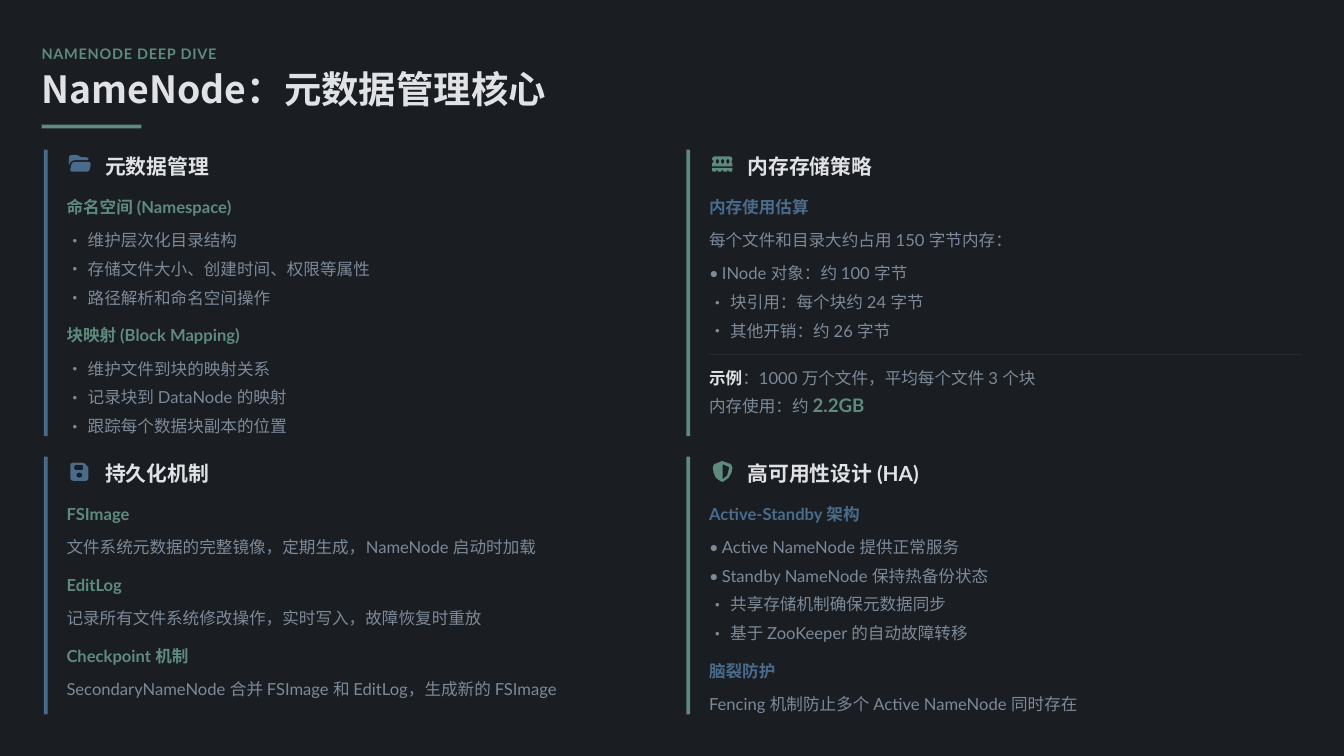
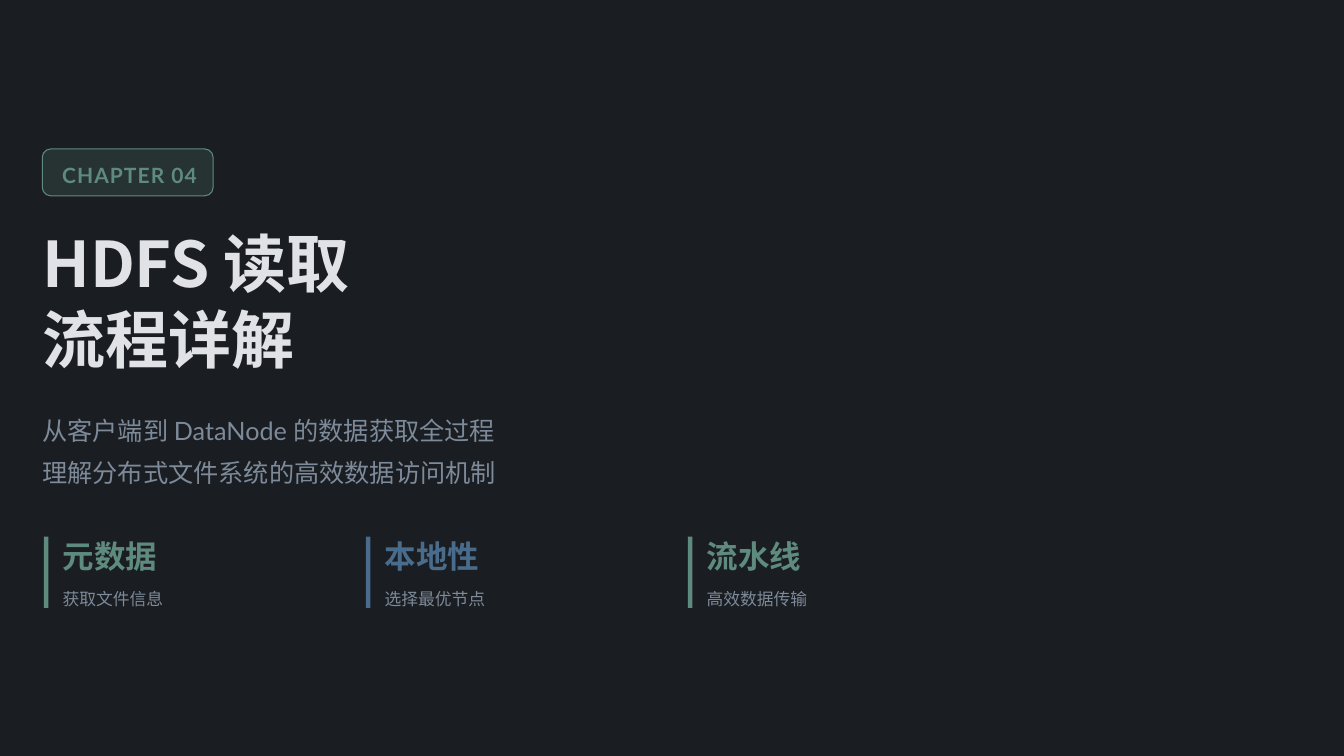
from lxml import etree
from pptx import Presentation
from pptx.dml.color import RGBColor
from pptx.enum.shapes import MSO_SHAPE as Shape
from pptx.enum.text import MSO_ANCHOR as Anchor
from pptx.oxml.ns import qn
from pptx.util import Inches, Pt

DARK = RGBColor(0x1A, 0x1D, 0x21)
LIGHT = RGBColor(0xE0, 0xE2, 0xE5)
GREEN = RGBColor(0x5E, 0x8B, 0x7E)
BLUE = RGBColor(0x4A, 0x6C, 0x8C)
GREY = RGBColor(0x7D, 0x8A, 0x99)
SANS = "Lato"
CJK = "Noto Sans CJK SC"

# Icon outlines, in hundredths of an inch from the panel corner
FOLDER = [
    [(35, 17), (33, 21), (33, 10), (34, 8), (37, 7), (44, 7), (46, 8),
     (48, 9), (49, 10), (56, 10), (59, 11), (59, 14), (40, 14), (37, 15)],
    [(57, 29), (37, 29), (35, 28), (35, 26), (37, 18), (40, 16), (60, 16),
     (62, 18), (62, 20), (60, 28)],
]
MEMORY = [
    [(37, 9), (35, 10), (34, 12), (34, 13), (36, 15), (36, 16), (34, 18),
     (34, 22), (61, 22), (61, 18), (60, 17), (60, 15), (61, 13), (61, 12),
     (60, 10), (58, 9)],
    [(61, 28), (61, 24), (34, 24), (34, 28), (36, 29), (39, 29), (39, 28),
     (40, 27), (42, 28), (42, 29), (46, 29), (46, 28), (48, 27), (49, 28),
     (49, 29), (54, 29), (54, 28), (55, 27), (56, 28), (56, 29), (60, 29)],
] + [
    [(x, 14), (x + 2, 12), (x + 4, 14), (x + 4, 17), (x + 2, 19), (x, 17)]
    for x in (39, 46, 53)
]
DISK = [
    [(39, 8), (36, 9), (35, 11), (35, 28), (36, 31), (39, 32), (56, 32),
     (58, 31), (59, 28), (59, 15), (58, 13), (54, 9), (52, 8)],
    [(40, 13), (42, 11), (51, 11), (52, 13), (52, 16), (51, 18), (42, 18),
     (40, 16)],
    [(47, 21), (50, 22), (51, 25), (50, 27), (47, 28), (44, 27), (43, 25),
     (44, 22)],
]
SHIELD = [
    [(48, 6), (59, 10), (61, 14), (60, 21), (56, 28), (49, 33), (46, 33),
     (39, 28), (36, 21), (35, 14), (37, 10), (47, 6)],
    [(48, 10), (48, 30), (54, 25), (57, 14)],
]

# Panels: title, icon, then lines; "#" marks a subhead and "-" a bullet
PANELS = [
    ("元数据管理", FOLDER, [
        ("#", "命名空间 (Namespace)"),
        ("-", "维护层次化目录结构"),
        ("-", "存储文件大小、创建时间、权限等属性"),
        ("-", "路径解析和命名空间操作"),
        ("#", "块映射 (Block Mapping)"),
        ("-", "维护文件到块的映射关系"),
        ("-", "记录块到 DataNode 的映射"),
        ("-", "跟踪每个数据块副本的位置"),
    ]),
    ("内存存储策略", MEMORY, [
        ("#", "内存使用估算"),
        ("", "每个文件和目录大约占用 150 字节内存："),
        ("-", "INode 对象：约 100 字节"),
        ("-", "块引用：每个块约 24 字节"),
        ("-", "其他开销：约 26 字节"),
    ]),
    ("持久化机制", DISK, [
        ("#", "FSImage"),
        ("", "文件系统元数据的完整镜像，定期生成，NameNode 启动时加载"),
        ("#", "EditLog"),
        ("", "记录所有文件系统修改操作，实时写入，故障恢复时重放"),
        ("#", "Checkpoint 机制"),
        ("", "SecondaryNameNode 合并 FSImage 和 EditLog，生成新的 FSImage"),
    ]),
    ("高可用性设计 (HA)", SHIELD, [
        ("#", "Active-Standby 架构"),
        ("-", "Active NameNode 提供正常服务"),
        ("-", "Standby NameNode 保持热备份状态"),
        ("-", "共享存储机制确保元数据同步"),
        ("-", "基于 ZooKeeper 的自动故障转移"),
        ("#", "脑裂防护"),
        ("", "Fencing 机制防止多个 Active NameNode 同时存在"),
    ]),
]
# Each run: text, size, colour, bold
EXAMPLE = [
    [("示例", 15.8, LIGHT, True),
     ("：1000 万个文件，平均每个文件 3 个块", 15.8, GREY, False)],
    [("内存使用：约 ", 15.8, GREY, False), ("2.2GB", 17.8, GREEN, True)],
]
STAGES = [
    ("元数据", "获取文件信息", GREEN),
    ("本地性", "选择最优节点", BLUE),
    ("流水线", "高效数据传输", GREEN),
]
COLS = (0.58, 9.08)
ROWS = ((1.98, 3.79), (6.04, 3.41))  # top, height


def style(run, size, color, bold=False, face=SANS, track=0):
    font = run.font
    font.size, font.bold, font.name = Pt(size), bold, face
    font.color.rgb = color
    if track:
        run._r.get_or_add_rPr().set("spc", str(int(track * 100)))


def frame(shape, left=0):
    tf = shape.text_frame
    tf.word_wrap = True
    tf.vertical_anchor = Anchor.MIDDLE
    tf.margin_left = Inches(left)
    tf.margin_right = tf.margin_top = tf.margin_bottom = 0
    return tf


def write(slide, box, lines, gap=1.0):
    """Add a text box; lines is a list of lists of runs."""
    tf = frame(slide.shapes.add_textbox(*map(Inches, box)))
    for i, runs in enumerate(lines):
        para = tf.add_paragraph() if i else tf.paragraphs[0]
        para.line_spacing = gap
        for text, *look in runs:
            run = para.add_run()
            run.text = text
            style(run, *look)
    return tf


def bullet(para):
    latin = para.text[0].isascii()
    hang = Inches(0.17 if latin else 0.28)
    props = para._p.get_or_add_pPr()
    props.set("marL", str(hang))
    props.set("indent", str(-hang))
    etree.SubElement(props, qn("a:buFont")).set("typeface", SANS if latin else CJK)
    etree.SubElement(props, qn("a:buChar")).set("char", "•")


def paint(shape, color, alpha=None):
    shape.shadow.inherit = False
    shape.fill.solid()
    shape.fill.fore_color.rgb = color
    shape.line.fill.background()
    if alpha:
        tone = shape._element.spPr.find(qn("a:solidFill"))[0]
        etree.SubElement(tone, qn("a:alpha")).set("val", str(alpha * 1000))


def block(slide, box, color, alpha=None, kind=Shape.RECTANGLE):
    shape = slide.shapes.add_shape(kind, *map(Inches, box))
    paint(shape, color, alpha)
    return shape


def icon(slide, left, top, rings, color):
    pen = slide.shapes.build_freeform(*rings[0][0], scale=Inches(0.01))
    for i, ring in enumerate(rings):
        if i:
            pen.move_to(*ring[0])
        pen.add_line_segments(ring[1:], close=True)
    paint(pen.convert_to_shape(Inches(left), Inches(top)), color)


def panel(slide, left, top, high, color, accent, title, rings, lines):
    block(slide, (left, top, 0.05, high), color)
    icon(slide, left, top, rings, color)
    write(slide, (left + 0.81, top, 2.4, 0.38),
          [[(title, 19.8, LIGHT, True)]], 1.2)
    y, last = top + 0.55, None
    for mark, text in lines:
        head = mark == "#"
        if last is not None:
            y += 0.5 if head else 0.38 if last == "-" else 0.44
        tf = write(slide, (left + 0.3, y, 7.95, 0.33),
                   [[(text, 15.8, accent if head else GREY, head)]], 1.3)
        if mark == "-":
            bullet(tf.paragraphs[0])
        last = mark


def namenode(slide):
    # Heading
    write(slide, (0.55, 0.55, 16.77, 0.27),
          [[("NAMENODE DEEP DIVE", 13.8, GREEN, True, SANS, 0.7)]], 1.2)
    write(slide, (0.55, 0.93, 16.93, 0.55),
          [[("NameNode：元数据管理核心", 35.6, LIGHT, True, CJK)]], 0.9)
    block(slide, (0.55, 1.65, 1.32, 0.05), GREEN)

    # Two by two panels, blue on the left and green on the right
    for i, content in enumerate(PANELS):
        row, col = divmod(i, 2)
        tones = (GREEN, BLUE) if col else (BLUE, GREEN)
        panel(slide, COLS[col], *ROWS[row], *tones, *content)

    # Worked example in the memory panel
    block(slide, (9.38, 4.68, 7.84, 0.01), BLUE, 30)
    write(slide, (9.38, 4.79, 7.95, 0.71), EXAMPLE, 1.3)


def chapter(slide):
    # Chapter badge
    badge = block(slide, (0.56, 1.97, 2.26, 0.62), GREEN, 20,
                  Shape.ROUNDED_RECTANGLE)
    badge.adjustments[0] = 0.18
    badge.line.color.rgb = GREEN
    badge.line.width = Pt(1)
    para = frame(badge, 0.23).paragraphs[0]
    para.text = "CHAPTER 04"
    para.alignment = 1
    para.line_spacing = 1.2
    style(para.runs[0], 20, GREEN, True, SANS, 1)

    # Title and summary
    write(slide, (0.56, 2.93, 17.08, 2.08),
          [[(text, 60, LIGHT, True, CJK)] for text in ("HDFS 读取", "流程详解")])
    write(slide, (0.56, 5.35, 16.83, 1.08),
          [[(text, 24, GREY)] for text in (
              "从客户端到 DataNode 的数据获取全过程",
              "理解分布式文件系统的高效数据访问机制")], 1.4)

    # Three stages
    for i, (name, note, color) in enumerate(STAGES):
        x = 0.58 + 4.26 * i
        block(slide, (x, 7.1, 0.06, 0.94), color)
        write(slide, (x + 0.25, 7.1, 3.86, 0.5), [[(name, 30, color, True)]])
        write(slide, (x + 0.25, 7.71, 3.76, 0.33), [[(note, 16, GREY)]], 1.3)


def main():
    prs = Presentation()
    prs.slide_width, prs.slide_height = Inches(17.78), Inches(10)
    fill = prs.slide_master.background.fill
    fill.solid()
    fill.fore_color.rgb = DARK
    for build in (namenode, chapter):
        build(prs.slides.add_slide(prs.slide_layouts[6]))
    prs.save("out.pptx")


if __name__ == "__main__":
    main()
